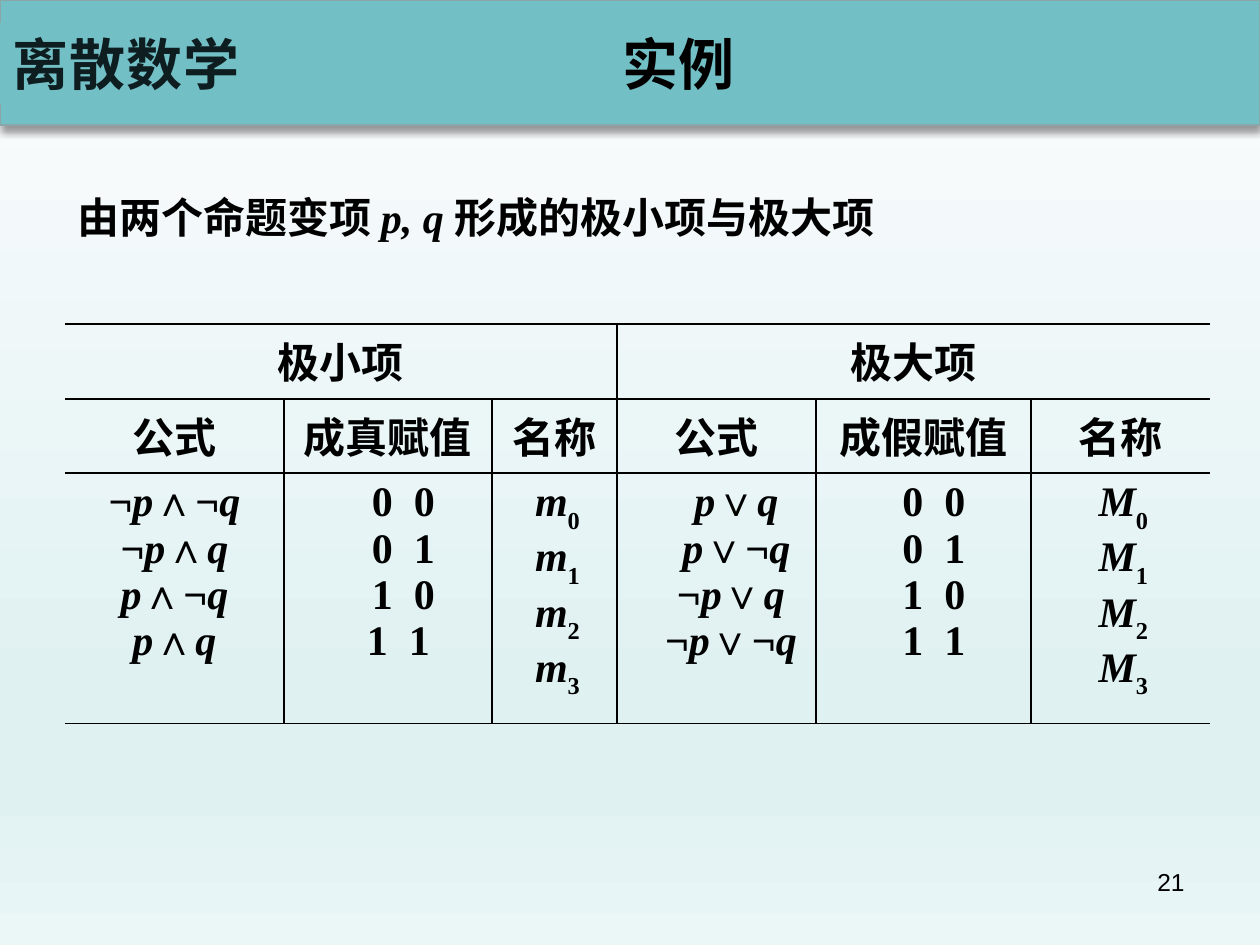
from dataclasses import dataclass
from itertools import groupby

from lxml import etree
from pptx import Presentation
from pptx import util as u
from pptx.dml.color import RGBColor
from pptx.enum import shapes, text
from pptx.oxml.ns import qn


@dataclass(frozen=True)
class Theme:
    ink: str = "000000"
    banner: str = "72BFC5"
    banner_edge: str = "8AA6A8"
    course: str = "0E1E20"
    background: tuple = ((0, "FCFDFE"), (74, "E0F1F2"), (83, "E0F1F2"), (100, "EBF6F7"))
    heading: int = 32
    body: int = 24
    small: int = 14
    sans: str = "Arial"
    serif: str = "Times New Roman"
    chinese: str = "Noto Sans CJK SC"


THEME = Theme()
PX = u.Inches(1) / 126
CENTER, RIGHT = text.PP_ALIGN.CENTER, text.PP_ALIGN.RIGHT


def write(frame, lines, size=THEME.body, font=THEME.sans, color=THEME.ink,
          bold=True, align=CENTER, indents=None, spacing=None):
    """Each line is a string or a list of (string, overrides) runs; indents are px."""
    for i, line in enumerate(lines):
        para = frame.paragraphs[0] if i == 0 else frame.add_paragraph()
        para.alignment = align
        if indents:
            para._p.get_or_add_pPr().set("marL", str(round(indents[i] * PX)))
        for words, style in [(line, {})] if isinstance(line, str) else line:
            run = para.add_run()
            run.text = words
            run.font.size, run.font.bold = u.Pt(size), bold
            run.font.italic = style.get("italic", False)
            run.font.color.rgb = RGBColor.from_string(color)
            run.font.name = style.get("font", font)
            props = run._r.get_or_add_rPr()
            etree.SubElement(props, qn("a:ea"), typeface=THEME.chinese)
            if style.get("subscript"):
                props.set("baseline", "-30000")
            if spacing:
                props.set("spc", str(spacing))


def formula(words):
    """Split into runs: variables italic, the digit after a name lowered."""
    named = words[0] in "mM"
    return [("".join(part), {"italic": is_variable, "subscript": named and not is_variable})
            for is_variable, part in groupby(words, key=str.isalpha)]


deck = Presentation()
deck.slide_width, deck.slide_height = u.Inches(10), u.Inches(7.5)
slide = deck.slides.add_slide(deck.slide_layouts[5])

# Background
backdrop = slide.background.fill
backdrop.gradient()
backdrop.gradient_angle = 270
stops = slide.element.find(".//" + qn("a:gsLst"))
for stop in list(stops):
    stops.remove(stop)
for percent, shade in THEME.background:
    stop = etree.SubElement(stops, qn("a:gs"), pos=str(percent * 1000))
    etree.SubElement(stop, qn("a:srgbClr"), val=shade)

# Banner with the course name and the title
bars = []
for box in ((0, 0, 1260, 125), (0, 23, 253, 81)):
    bar = slide.shapes.add_shape(shapes.MSO_SHAPE.RECTANGLE, *(round(n * PX) for n in box))
    bar.shadow.inherit = False
    bar.fill.solid()
    bar.fill.fore_color.rgb = RGBColor.from_string(THEME.banner)
    bar.line.fill.background()
    bars.append(bar)
banner, course = bars
banner.line.color.rgb = RGBColor.from_string(THEME.banner_edge)
banner.line.width = u.Pt(1)
effects = banner.element.find(".//" + qn("a:effectLst"))
shadow = etree.SubElement(effects, qn("a:outerShdw"), blurRad=str(u.Pt(4)),
                          dist=str(u.Pt(3)), dir="5400000", rotWithShape="0")
shadow_color = etree.SubElement(shadow, qn("a:srgbClr"), val=THEME.ink)
etree.SubElement(shadow_color, qn("a:alpha"), val="40000")
course.text_frame.word_wrap = False
course.text_frame.vertical_anchor = text.MSO_ANCHOR.MIDDLE
write(course.text_frame, ["离散数学"], size=THEME.heading, font=THEME.chinese,
      color=THEME.course, spacing=50)

title = slide.shapes.title
title.left, title.top, title.width, title.height = (round(n * PX) for n in (257, 34, 843, 58))
title.text_frame.auto_size = text.MSO_AUTO_SIZE.NONE
title.text_frame.vertical_anchor = text.MSO_ANCHOR.MIDDLE
write(title.text_frame, ["实例"], size=THEME.heading)
slide.shapes.element.append(title.element)

# Introduction and page number
intro = [("由两个命题变项 ", {}), ("p, q ", {"font": THEME.serif, "italic": True}),
         ("形成的极小项与极大项", {})]
for box, line, style in (
    ((65, 185, 1134, 73), intro, {"align": text.PP_ALIGN.JUSTIFY}),
    ((903, 861, 294, 66), "21", {"size": THEME.small, "bold": False, "align": RIGHT}),
):
    note = slide.shapes.add_textbox(*(round(n * PX) for n in box))
    note.text_frame.word_wrap = True
    write(note.text_frame, [line], **style)

# Table of minterms and maxterms
GROUPS = {0: "极小项", 3: "极大项"}
HEADINGS = ["公式", "成真赋值", "名称", "公式", "成假赋值", "名称"]
TERMS = [  # lines and their indents in px, column by column
    (["¬p∧¬q", "¬p∧q", "p∧¬q", "p∧q"], [0, 0, 0, 0]),
    (["0  0", "0  1", "1  0", "1  1"], [31, 31, 31, 21]),
    ([f"m{i}" for i in range(4)], [6] * 4),
    (["p∨q", "p∨¬q", "¬p∨q", "¬p∨¬q"], [40, 40, 29, 29]),
    (["0  0", "0  1", "1  0", "1  1"], [21] * 4),
    ([f"M{i}" for i in range(4)], [6] * 4),
]
WIDTHS = [219, 208, 125, 199, 215, 179]
HEIGHTS = [75, 74, 247]

frame = slide.shapes.add_table(3, 6, *(round(n * PX) for n in (65, 324, sum(WIDTHS), sum(HEIGHTS))))
terms = frame.table
terms.first_row = terms.horz_banding = False
NO_STYLE = "{2D5ABB26-0587-4C30-8999-92F81FD0307C}"
frame.element.find(".//" + qn("a:tableStyleId")).text = NO_STYLE
for column, width in zip(terms.columns, WIDTHS):
    column.width = round(width * PX)
for row, height in zip(terms.rows, HEIGHTS):
    row.height = round(height * PX)

for c, group in GROUPS.items():
    terms.cell(0, c).merge(terms.cell(0, c + 2))
    write(terms.cell(0, c).text_frame, [group], font=THEME.chinese)
for c, (heading, (lines, indents)) in enumerate(zip(HEADINGS, TERMS)):
    write(terms.cell(1, c).text_frame, [heading], font=THEME.chinese)
    write(terms.cell(2, c).text_frame, [formula(line) for line in lines],
          font=THEME.serif, indents=indents)

for r in range(3):
    span = 3 if r == 0 else 1
    for c in range(0, 6, span):
        cell = terms.cell(r, c)
        edges = {"L": c > 0, "R": c + span < 6, "T": True, "B": True}
        for side, drawn in edges.items():
            edge = etree.SubElement(cell._tc.get_or_add_tcPr(), qn(f"a:ln{side}"),
                                    w=str(u.Pt(1)))
            paint = etree.SubElement(edge, qn("a:solidFill" if drawn else "a:noFill"))
            if drawn:
                etree.SubElement(paint, qn("a:srgbClr"), val=THEME.ink)
        cell.fill.background()

deck.save("out.pptx")
